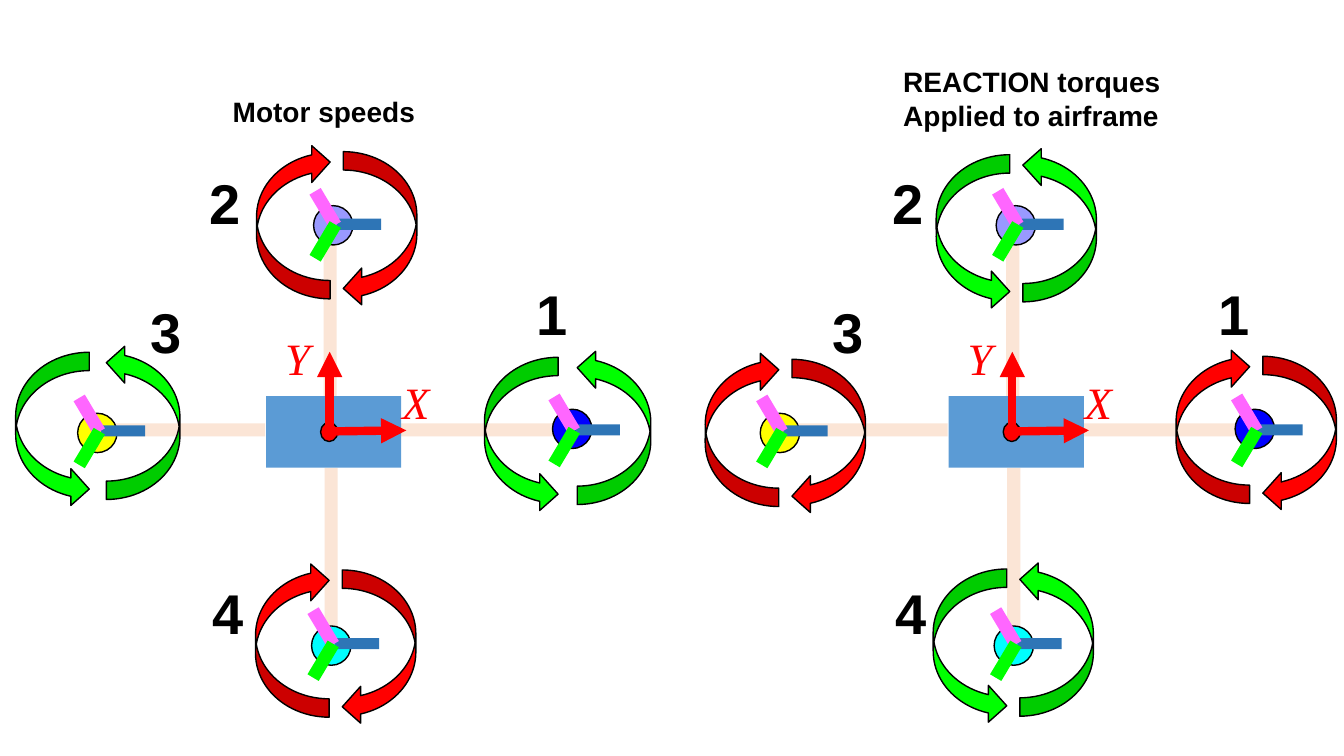
import dataclasses

import lxml.etree
import pptx
import pptx.dml.color
import pptx.enum.shapes
import pptx.enum.text
import pptx.oxml.ns
import pptx.shapes.autoshape
import pptx.slide
import pptx.util

EMU_PER_PX = 9144
SHAPE = pptx.enum.shapes.MSO_SHAPE

BLACK, RED, GREEN = "000000", "FF0000", "00FF00"
ARM, BODY = "FBE5D6", "5B9BD5"
BLADE_BLUE, BLADE_PINK = "2E75B6", "FF66FF"


@dataclasses.dataclass(frozen=True)
class Box:
    left: int
    top: int
    width: int
    height: int

    def shifted(self, dx: int) -> "Box":
        return dataclasses.replace(self, left=self.left + dx)


@dataclasses.dataclass(frozen=True)
class Motor:
    number: str
    number_left: int
    number_top: int
    hub_left: int
    hub_top: int
    blade_top: int
    color: str


@dataclasses.dataclass(frozen=True)
class Spin:
    clockwise: bool
    left: int
    top: int
    gap: int = 86


@dataclasses.dataclass(frozen=True)
class View:
    offset: int
    heading: Box
    heading_lines: tuple[str, ...]
    spins: tuple[Spin, ...]


@dataclasses.dataclass(frozen=True)
class Style:
    font: str
    size: int
    color: str
    bold: bool = False
    italic: bool = False


NUMBER = Style("Arial", 40, BLACK, bold=True)
HEADING = Style("Arial", 20, BLACK, bold=True)
AXIS = Style("Times New Roman", 32, RED, italic=True)

ARMS = (
    (Box(241, 545, 175, 13), 270),
    (Box(240, 300, 175, 13), 270),
    (Box(397, 420, 175, 13), 0),
    (Box(88, 420, 175, 13), 0),
)
MOTORS = (
    Motor("1", 522, 272, 548, 406, 421, "0000FF"),
    Motor("2", 198, 162, 311, 204, 217, "9999FF"),
    Motor("3", 139, 290, 77, 410, 422, "FFFF00"),
    Motor("4", 201, 569, 309, 621, 633, "00FFFF"),
)
VIEWS = (
    View(0, Box(221, 89, 203, 44), ("Motor speeds",), (
        Spin(False, 440, 387, 92),
        Spin(True, 214, 183),
        Spin(False, -25, 382, 90),
        Spin(True, 213, 598),
    )),
    View(677, Box(886, 59, 278, 77), ("REACTION torques", "Applied to airframe"), (
        Spin(True, 1126, 386),
        Spin(False, 888, 186),
        Spin(True, 659, 389),
        Spin(False, 885, 597),
    )),
)


def px(length: int) -> pptx.util.Emu:
    return pptx.util.Emu(length * EMU_PER_PX)


def rgb(color: str) -> pptx.dml.color.RGBColor:
    return pptx.dml.color.RGBColor.from_string(color)


def add_part(slide: pptx.slide.Slide, kind: SHAPE, box: Box, color: str,
             rotation: float = 0, outlined: bool = False) -> pptx.shapes.autoshape.Shape:
    part = slide.shapes.add_shape(
        kind, px(box.left), px(box.top), px(box.width), px(box.height))
    part.shadow.inherit = False
    part.rotation = rotation
    part.fill.solid()
    part.fill.fore_color.rgb = rgb(color)
    if outlined:
        part.line.color.rgb = rgb(BLACK)
        part.line.width = pptx.util.Pt(1)
    else:
        part.line.fill.background()
    return part


def add_label(slide: pptx.slide.Slide, box: Box, lines: tuple[str, ...], style: Style) -> None:
    frame = slide.shapes.add_textbox(
        px(box.left), px(box.top), px(box.width), px(box.height)).text_frame
    frame.word_wrap = False
    frame.auto_size = pptx.enum.text.MSO_AUTO_SIZE.SHAPE_TO_FIT_TEXT
    for index, line in enumerate(lines):
        paragraph = frame.add_paragraph() if index else frame.paragraphs[0]
        run = paragraph.add_run()
        run.text = line
        run.font.name = style.font
        run.font.size = pptx.util.Pt(style.size)
        run.font.color.rgb = rgb(style.color)
        run.font.bold = style.bold
        run.font.italic = style.italic


def add_axis(slide: pptx.slide.Slide, x1: int, y1: int, x2: int, y2: int) -> None:
    axis = slide.shapes.add_connector(
        pptx.enum.shapes.MSO_CONNECTOR.STRAIGHT, px(x1), px(y1), px(x2), px(y2))
    axis.line.color.rgb = rgb(RED)
    axis.line.width = pptx.util.Pt(6)
    qn = pptx.oxml.ns.qn
    lxml.etree.SubElement(axis.line._get_or_add_ln(), qn("a:tailEnd"), type="triangle")
    lxml.etree.SubElement(axis._element.spPr, qn("a:effectLst"))


def add_airframe(slide: pptx.slide.Slide, dx: int) -> None:
    for box, rotation in ARMS:
        add_part(slide, SHAPE.RECTANGLE, box.shifted(dx), ARM, rotation)
    add_part(slide, SHAPE.RECTANGLE, Box(264, 393, 134, 71).shifted(dx), BODY)
    for motor in MOTORS:
        hub = Box(motor.hub_left + dx, motor.hub_top, 39, 39)
        add_part(slide, SHAPE.OVAL, hub, motor.color, outlined=True)
    add_part(slide, SHAPE.OVAL, Box(318, 419, 17, 19).shifted(dx), RED, outlined=True)
    add_axis(slide, 327 + dx, 428, 403 + dx, 427)
    add_axis(slide, 327 + dx, 430, 327 + dx, 349)
    add_label(slide, Box(273, 323, 46, 64).shifted(dx), ("Y",), AXIS)
    add_label(slide, Box(389, 367, 21, 43).shifted(dx), ("X",), AXIS)


def add_propeller(slide: pptx.slide.Slide, motor: Motor, dx: int) -> None:
    left, top = motor.hub_left + dx, motor.blade_top
    add_part(slide, SHAPE.RECTANGLE, Box(left + 23, top, 44, 11), BLADE_BLUE)
    add_part(slide, SHAPE.RECTANGLE, Box(left - 8, top - 17, 39, 13), BLADE_PINK, 239.2)
    add_part(slide, SHAPE.RECTANGLE, Box(left - 8, top + 16, 39, 13), GREEN, 120.8)
    number = Box(motor.number_left + dx, motor.number_top, 51, 77)
    add_label(slide, number, (motor.number,), NUMBER)


def add_spin(slide: pptx.slide.Slide, spin: Spin) -> None:
    color = RED if spin.clockwise else GREEN
    left_drop, right_drop = (0, 8) if spin.clockwise else (8, 0)
    left_box = Box(spin.left, spin.top + left_drop, 154, 73)
    right_box = Box(spin.left + spin.gap, spin.top + right_drop, 154, 73)
    right_rotation = 90 if spin.clockwise else 270
    left_arrow = add_part(slide, SHAPE.CURVED_UP_ARROW, left_box, color, 90, True)
    right_arrow = add_part(
        slide, SHAPE.CURVED_UP_ARROW, right_box, color, right_rotation, True)
    if spin.clockwise:
        left_arrow._element.spPr.xfrm.set("flipH", "1")
        right_arrow._element.spPr.xfrm.set("flipV", "1")


def main() -> None:
    """Draw quadrotor motor speeds beside the reaction torques they cause."""
    deck = pptx.Presentation()
    deck.slide_width, deck.slide_height = px(1333), px(750)
    slide = deck.slides.add_slide(deck.slide_layouts[6])
    for view in VIEWS:
        add_airframe(slide, view.offset)
        for motor, spin in zip(MOTORS, view.spins):
            add_propeller(slide, motor, view.offset)
            add_spin(slide, spin)
        add_label(slide, view.heading, view.heading_lines, HEADING)
    deck.save("out.pptx")


if __name__ == "__main__":
    main()
